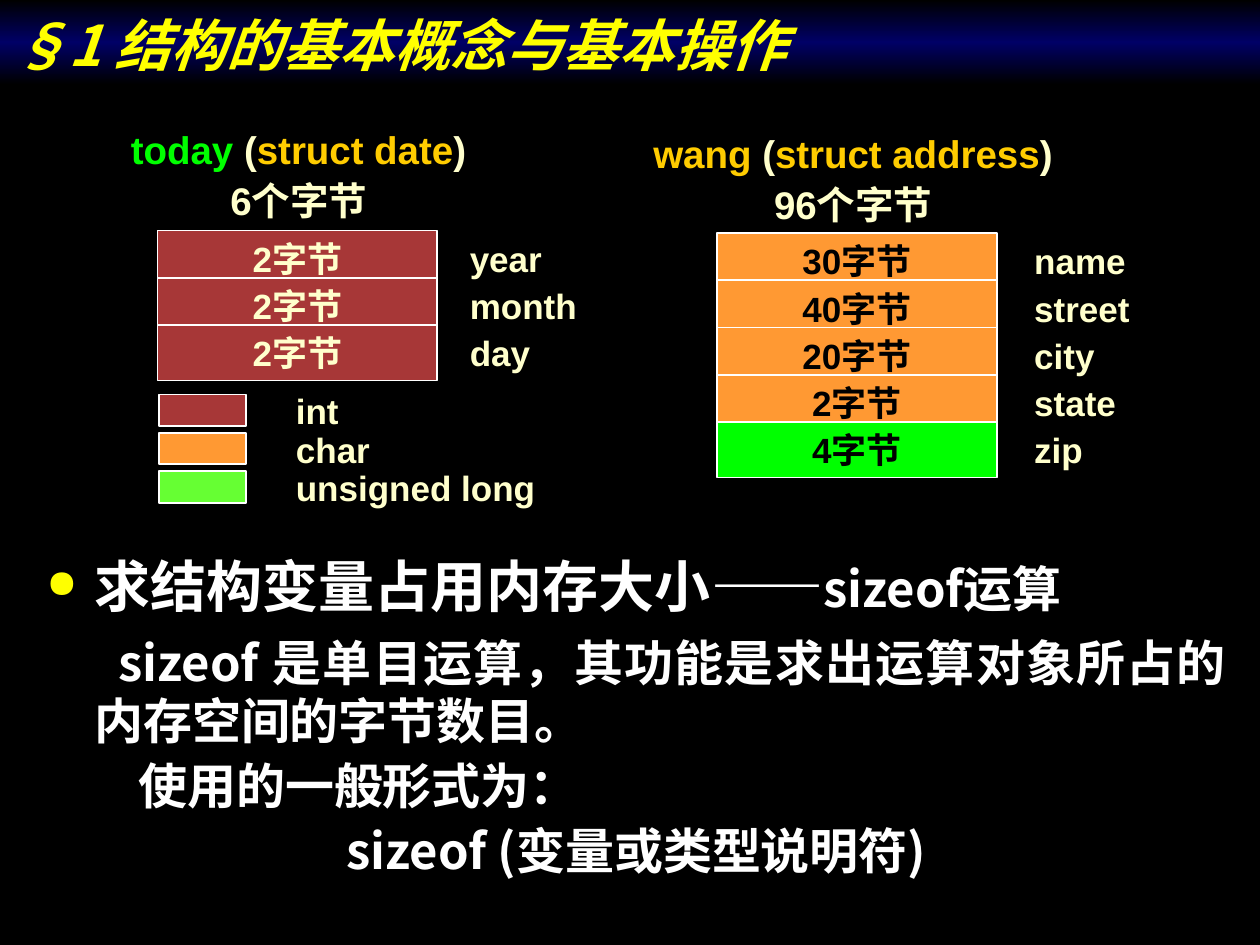
import pptx
import pptx.util
import pptx.dml.color
import pptx.enum.shapes
import pptx.enum.text
import pptx.oxml
import pptx.oxml.ns
import copy
from pptx.util import Inches

RGBColor = pptx.dml.color.RGBColor
BLACK = RGBColor(0x00, 0x00, 0x00)
WHITE = RGBColor(0xFF, 0xFF, 0xFF)
NAVY = RGBColor(0x00, 0x00, 0x66)
CREAM = RGBColor(0xFF, 0xFF, 0xCC)
GOLD = RGBColor(0xFF, 0xCC, 0x00)
YELLOW = RGBColor(0xFF, 0xFF, 0x00)
RED = RGBColor(0xA7, 0x37, 0x37)
ORANGE = RGBColor(0xFF, 0x99, 0x33)
GREEN = RGBColor(0x00, 0xFF, 0x00)
LIME = RGBColor(0x66, 0xFF, 0x33)
LATIN = "Arial"
HAN = "Noto Sans CJK SC"
ALIGN = pptx.enum.text.PP_ALIGN
ANCHOR = pptx.enum.text.MSO_ANCHOR
FIT = pptx.enum.text.MSO_AUTO_SIZE
STEP = 0.375
KEY_STEP = 0.305


def make(tag, **attrs):
    """Return a drawing element with the given attributes."""
    item = pptx.oxml.parse_xml(f"<a:{tag} {pptx.oxml.ns.nsdecls('a')}/>")
    for name, value in attrs.items():
        item.set(name, value)
    return item


def style(para, size, color, name=LATIN, align=ALIGN.LEFT):
    """Set the font and alignment of a paragraph."""
    para.alignment = align
    font = para.font
    font.size = pptx.util.Pt(size)
    font.bold = True
    font.color.rgb = color
    if name:
        font.name = name
        props = para._p.pPr.find(pptx.oxml.ns.qn("a:defRPr"))
        props.append(make("ea", typeface=HAN))
    return font


def add_label(shapes, text, left, top, width, wrap=True):
    """Add a cream label in a text box."""
    box = shapes.add_textbox(Inches(left), Inches(top), Inches(width), Inches(0.44))
    frame = box.text_frame
    frame.word_wrap = wrap
    frame.auto_size = FIT.SHAPE_TO_FIT_TEXT
    frame.vertical_anchor = ANCHOR.MIDDLE
    frame.text = text
    style(frame.paragraphs[0], 20, CREAM)


def add_cell(shapes, left, top, width, height, fill, text="", color=CREAM):
    """Add a filled rectangle with a white outline."""
    cell = shapes.add_shape(
        pptx.enum.shapes.MSO_SHAPE.RECTANGLE,
        Inches(left), Inches(top), Inches(width), Inches(height))
    cell.shadow.inherit = False
    cell.fill.solid()
    cell.fill.fore_color.rgb = fill
    cell.line.color.rgb = WHITE
    cell.line.width = pptx.util.Pt(1)
    if text:
        frame = cell.text_frame
        frame.vertical_anchor = ANCHOR.MIDDLE
        frame.text = text
        style(frame.paragraphs[0], 20, color, align=ALIGN.CENTER)


def add_head(shapes, left, top, width, parts, size):
    """Add the coloured name of a variable over its size."""
    box = shapes.add_textbox(Inches(left), Inches(top), Inches(width), Inches(0.84))
    frame = box.text_frame
    frame.word_wrap = True
    frame.auto_size = FIT.SHAPE_TO_FIT_TEXT
    frame.vertical_anchor = ANCHOR.MIDDLE
    first = frame.paragraphs[0]
    for text, color in parts:
        run = first.add_run()
        run.text = text
        run.font.color.rgb = color
    second = frame.add_paragraph()
    second.text = size
    second.space_before = pptx.util.Pt(5.5)
    for para in frame.paragraphs:
        para.line_spacing = 0.9
        style(para, 22, CREAM, align=ALIGN.CENTER)


def add_struct(slide, left, top, gap, width, color, rows):
    """Add the memory cells of a structure with their member names."""
    shapes = slide.shapes.add_group_shape().shapes
    for i, (size, name, fill) in enumerate(rows):
        y = top + i * STEP
        add_cell(shapes, left, y, 2.22, 0.44, fill, f"{size}字节", color)
        add_label(shapes, name, left + gap, y, width)
    return shapes


def add_legend(slide):
    """Add the colour key of the member types."""
    shapes = slide.shapes.add_group_shape().shapes
    rows = [("int", RED, 0.54), ("char", ORANGE, 0.79), ("unsigned long", LIME, 2.1)]
    for i, (text, fill, width) in enumerate(rows):
        y = i * KEY_STEP
        add_cell(shapes, 1.26, 3.13 + y, 0.69, 0.25, fill)
        add_label(shapes, text, 2.25, 3.04 + y, width, False)


def set_title(slide):
    """Fill the title bar with its gradient and heading."""
    title = slide.shapes.title
    title.left, title.top = Inches(0), Inches(0)
    title.width, title.height = Inches(10), Inches(0.67)
    fill = title.fill
    fill.gradient()
    fill.gradient_angle = 90
    stops = title._element.spPr.find(".//" + pptx.oxml.ns.qn("a:gsLst"))
    stops.insert(1, copy.deepcopy(stops[0]))
    for stop, place, color in zip(fill.gradient_stops, (0, 0.5, 1), (BLACK, NAVY, BLACK)):
        stop.position = place
        stop.color.rgb = color
    frame = title.text_frame
    frame.auto_size = FIT.NONE
    frame.vertical_anchor = ANCHOR.BOTTOM
    frame.text = "§1 结构的基本概念与基本操作"
    style(frame.paragraphs[0], 32, YELLOW, HAN).italic = True


def indent(para, margin, first):
    """Set the left margin and first-line indent of a paragraph."""
    props = para._p.get_or_add_pPr()
    props.set("marL", str(Inches(margin)))
    props.set("indent", str(Inches(first)))
    return props


def add_body(slide):
    """Add the explanation of the sizeof operator."""
    box = slide.shapes.add_textbox(Inches(0.27), Inches(4.39), Inches(9.56), Inches(2.7))
    frame = box.text_frame
    frame.word_wrap = True
    lead = frame.paragraphs[0]
    lead.line_spacing = 0.9
    props = indent(lead, 0.38, -0.38)
    tint = make("buClr")
    tint.append(make("srgbClr", val=str(YELLOW)))
    for item in (tint, make("buSzPct", val="70000"), make("buChar", char="●")):
        props.append(item)
    style(lead, 32, WHITE, None, ALIGN.JUSTIFY)
    for text, size, name in [("求结构变量占用内存大小", 32, HAN), ("——", 32, LATIN),
                             ("sizeof运算", 28, HAN)]:
        run = lead.add_run()
        run.text = text
        run.font.size = pptx.util.Pt(size)
        run.font.name = name
        if name == HAN:
            run.font._element.append(make("ea", typeface=HAN))
    rows = [
        ("sizeof 是单目运算，其功能是求出运算对象所占的内存空间的字节数目。",
         0.38, 0.19, 1, ALIGN.JUSTIFY),
        ("使用的一般形式为：", 0.73, 0, 0.9, ALIGN.JUSTIFY),
        ("sizeof (变量或类型说明符)", 0.38, -0.38, 0.9, ALIGN.CENTER)]
    for text, margin, first, space, align in rows:
        para = frame.add_paragraph()
        para.text = text
        para.line_spacing = space
        para.space_before = pptx.util.Pt(7)
        indent(para, margin, first)
        style(para, 28, WHITE, HAN, align)


def main():
    """Build the slide and save it."""
    deck = pptx.Presentation()
    deck.slide_width, deck.slide_height = Inches(10), Inches(7.5)
    slide = deck.slides.add_slide(deck.slide_layouts[5])
    slide.background.fill.solid()
    slide.background.fill.fore_color.rgb = BLACK
    set_title(slide)
    date = add_struct(slide, 1.25, 1.83, 2.38, 1.19, CREAM,
                      [(2, name, RED) for name in ("year", "month", "day")])
    add_head(date, 0.92, 0.99, 2.9, [("today", GREEN), (" (", CREAM),
             ("struct date", GOLD), (")", CREAM)], "6个字节")
    home = add_struct(slide, 5.69, 1.85, 2.42, 1.33, BLACK, [
        (30, "name", ORANGE), (40, "street", ORANGE), (20, "city", ORANGE),
        (2, "state", ORANGE), (4, "zip", GREEN)])
    add_head(home, 5.08, 1.02, 3.38, [("wang ", GOLD), ("(", CREAM),
             ("struct address", GOLD), (")", CREAM)], "96个字节")
    add_legend(slide)
    add_body(slide)
    deck.save("out.pptx")


if __name__ == "__main__":
    main()
